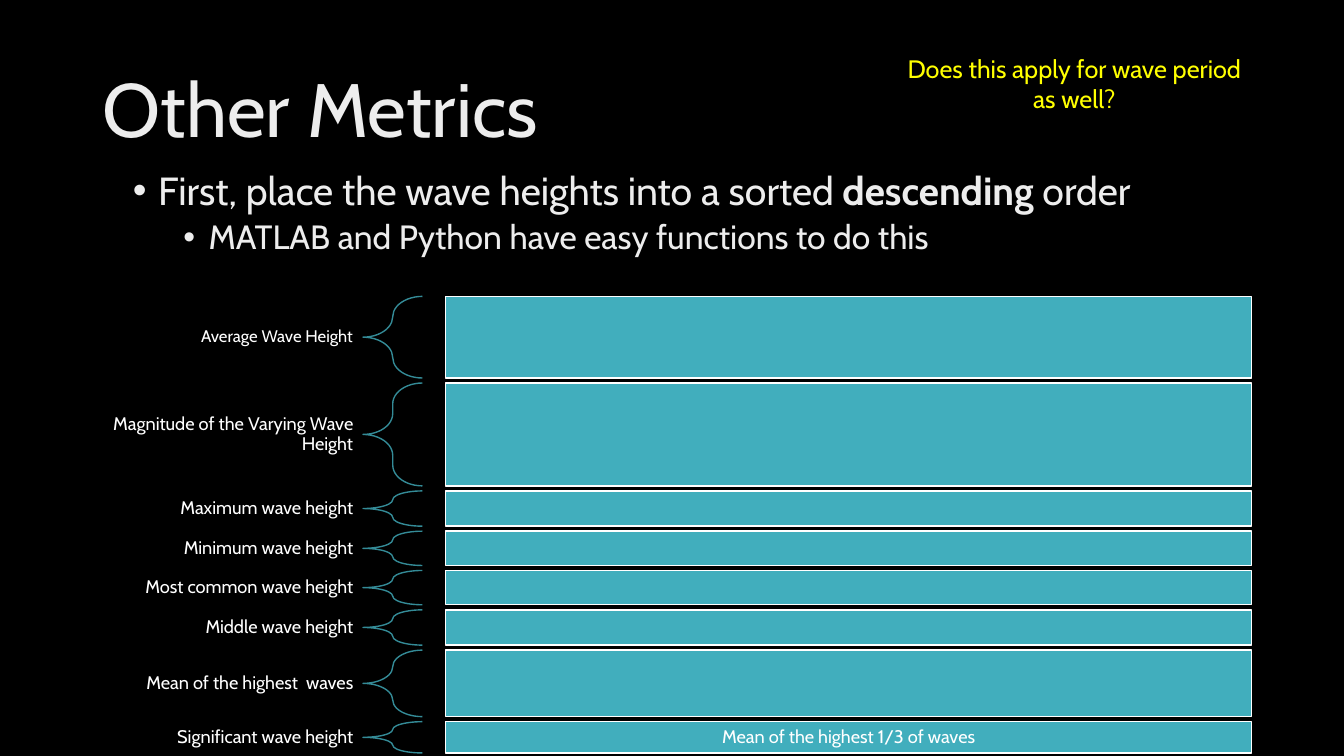
from dataclasses import dataclass

from lxml import etree
from pptx import Presentation
from pptx import util as u
from pptx.dml.color import RGBColor
from pptx.enum import shapes, text
from pptx.oxml import ns

CELL = u.Inches(0.1)
COLUMNS, ROWS = 133.3, 75


@dataclass(frozen=True)
class Theme:
    font: str = "Cabin"
    background: str = "000000"
    heading: str = "EDEDED"
    label: str = "FFFFFF"
    question: str = "FFFF00"
    bar: str = "41AEBD"
    brace: str = "348B97"
    title_size: int = 54
    point_size: int = 28
    subpoint_size: int = 24
    question_size: int = 18
    label_size: int = 13
    small_label_size: int = 12
    line_width: int = 1
    line_spacing: float = 0.9


@dataclass(frozen=True)
class Frame:
    left: float
    top: float
    width: float
    height: float

    def lengths(self) -> tuple:
        cells = (self.left, self.top, self.width, self.height)
        return tuple(round(count * CELL) for count in cells)


@dataclass(frozen=True)
class Metric:
    label: str
    rows: float
    size: int
    answer: str = ""


@dataclass(frozen=True)
class Bullet:
    phrases: tuple
    size: int
    margin: float
    space_before: int


THEME = Theme()
LABEL_LEFT, LABEL_WIDTH = 6.6, 29.4
BRACE_LEFT, BRACE_WIDTH = 36, 5.9
BAR_LEFT, BAR_WIDTH = 44.2, 79.9
FIRST_ROW, ROW_GAP = 29.4, 0.5
BULLET_HANG = 2.5

METRICS = (
    Metric("Average Wave Height", 8.1, THEME.small_label_size),
    Metric("Magnitude of the Varying Wave Height", 10.2, THEME.label_size),
    Metric("Maximum wave height", 3.5, THEME.label_size),
    Metric("Minimum wave height", 3.4, THEME.label_size),
    Metric("Most common wave height", 3.4, THEME.label_size),
    Metric("Middle wave height", 3.5, THEME.label_size),
    Metric("Mean of the highest  waves", 6.6, THEME.label_size),
    Metric("Significant wave height", 3.1, THEME.label_size, "Mean of the highest 1/3 of waves"),
)

BULLETS = (
    Bullet(
        (("First, place the wave heights into a sorted ", False), ("descending ", True), ("order", False)),
        THEME.point_size, 2.5, 10,
    ),
    Bullet((("MATLAB and Python have easy functions to do this", False),), THEME.subpoint_size, 7.5, 5),
)


def style_run(run, size: int, color: str, bold: bool = False) -> None:
    run.font.name = THEME.font
    run.font.size = u.Pt(size)
    run.font.bold = bold
    run.font.color.rgb = RGBColor.from_string(color)


def write_text(shape, words: str, size: int, color: str, align, spacing: float = THEME.line_spacing) -> None:
    shape.text_frame.word_wrap = True
    shape.text_frame.text = words
    paragraph = shape.text_frame.paragraphs[0]
    paragraph.alignment = align
    paragraph.line_spacing = spacing
    for run in paragraph.runs:
        style_run(run, size, color)


def set_insets(shape, across: float, down: float) -> None:
    frame = shape.text_frame
    frame.vertical_anchor = text.MSO_ANCHOR.MIDDLE
    frame.margin_left = frame.margin_right = u.Inches(across)
    frame.margin_top = frame.margin_bottom = u.Inches(down)


def add_bullets(slide, frame: Frame, bullets: tuple) -> None:
    shape = slide.shapes.add_textbox(*frame.lengths())
    shape.text_frame.word_wrap = True
    for index, bullet in enumerate(bullets):
        paragraph = shape.text_frame.add_paragraph() if index else shape.text_frame.paragraphs[0]
        paragraph.level = index
        paragraph.line_spacing = THEME.line_spacing
        paragraph.space_before = u.Pt(bullet.space_before)
        for words, bold in bullet.phrases:
            run = paragraph.add_run()
            run.text = words
            style_run(run, bullet.size, THEME.heading, bold)
        properties = paragraph._p.get_or_add_pPr()
        properties.set("marL", str(round(bullet.margin * CELL)))
        properties.set("indent", str(round(-BULLET_HANG * CELL)))
        etree.SubElement(properties, ns.qn("a:buFont")).set("typeface", "Arial")
        etree.SubElement(properties, ns.qn("a:buChar")).set("char", "•")


def add_outlined(slide, kind, frame: Frame, line: str):
    shape = slide.shapes.add_shape(kind, *frame.lengths())
    shape.shadow.inherit = False
    shape.line.color.rgb = RGBColor.from_string(line)
    shape.line.width = u.Pt(THEME.line_width)
    return shape


def add_metric(slide, metric: Metric, top: float) -> None:
    label = slide.shapes.add_textbox(*Frame(LABEL_LEFT, top, LABEL_WIDTH, metric.rows).lengths())
    set_insets(label, 0.1, 0.04)
    write_text(label, metric.label, metric.size, THEME.label, text.PP_ALIGN.RIGHT)

    brace_frame = Frame(BRACE_LEFT, top, BRACE_WIDTH, metric.rows)
    brace = add_outlined(slide, shapes.MSO_SHAPE.LEFT_BRACE, brace_frame, THEME.brace)
    brace.adjustments[0] = 0.35
    brace.fill.background()

    bar_frame = Frame(BAR_LEFT, top, BAR_WIDTH, metric.rows)
    bar = add_outlined(slide, shapes.MSO_SHAPE.RECTANGLE, bar_frame, THEME.label)
    bar.fill.solid()
    bar.fill.fore_color.rgb = RGBColor.from_string(THEME.bar)
    if metric.answer:
        set_insets(bar, 0.05, 0.05)
        write_text(bar, metric.answer, metric.size, THEME.label, text.PP_ALIGN.CENTER)


def main() -> None:
    presentation = Presentation()
    presentation.slide_width = round(COLUMNS * CELL)
    presentation.slide_height = ROWS * CELL
    slide = presentation.slides.add_slide(presentation.slide_layouts[6])
    slide.background.fill.solid()
    slide.background.fill.fore_color.rgb = RGBColor.from_string(THEME.background)

    title = slide.shapes.add_textbox(*Frame(9.2, 4, 115, 14.5).lengths())
    set_insets(title, 0.1, 0.05)
    write_text(title, "Other Metrics", THEME.title_size, THEME.heading, text.PP_ALIGN.LEFT)

    add_bullets(slide, Frame(12.2, 16.5, 111.9, 47.6), BULLETS)

    top = FIRST_ROW
    for metric in METRICS:
        add_metric(slide, metric, top)
        top += metric.rows + ROW_GAP

    question = slide.shapes.add_textbox(*Frame(88.5, 4.8, 36.1, 7.1).lengths())
    write_text(
        question, "Does this apply for wave period as well?",
        THEME.question_size, THEME.question, text.PP_ALIGN.CENTER, 1.0,
    )
    presentation.save("out.pptx")


if __name__ == "__main__":
    main()
